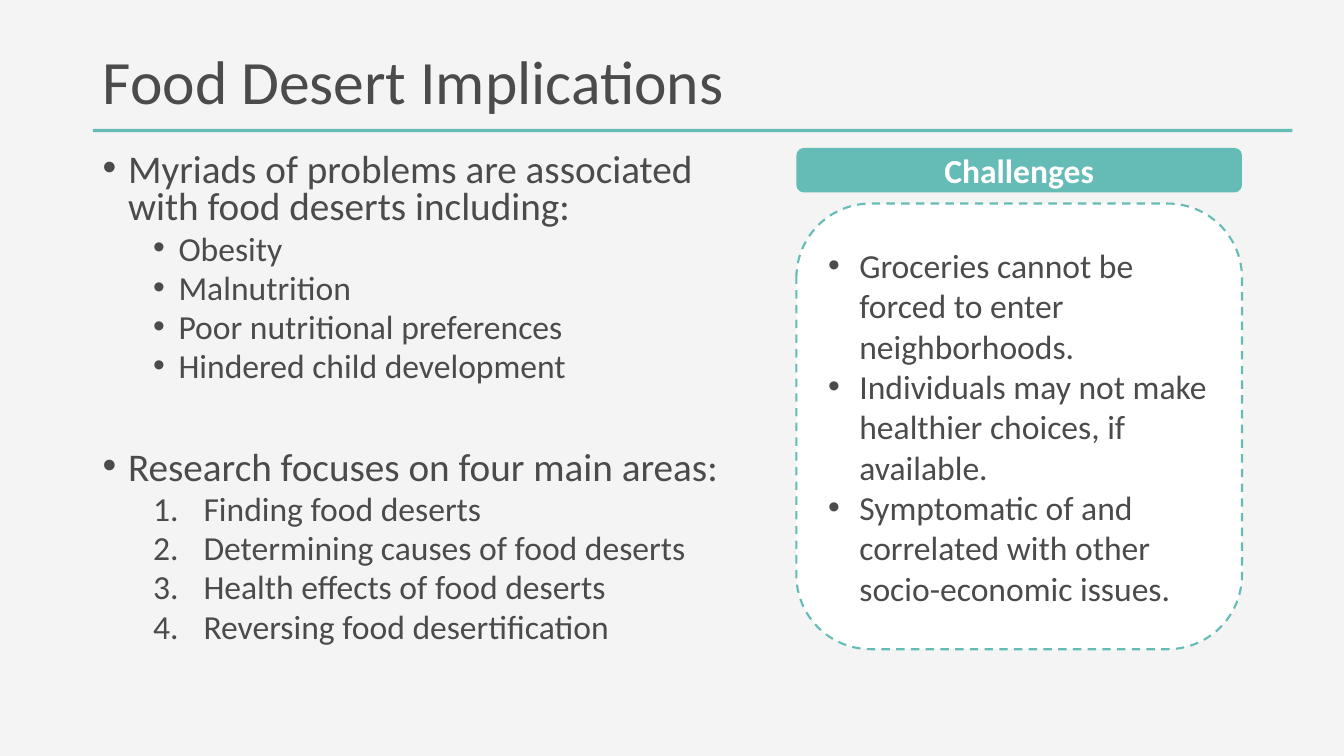
from dataclasses import dataclass

from lxml import etree
from pptx import Presentation
from pptx.dml.color import RGBColor
from pptx.enum.dml import MSO_LINE
from pptx.enum.shapes import MSO_SHAPE
from pptx.enum.text import MSO_ANCHOR, PP_ALIGN
from pptx.oxml.ns import qn
from pptx.util import Cm, Pt

ROUND = MSO_SHAPE.ROUNDED_RECTANGLE
DASH = MSO_LINE.DASH
TOP, MIDDLE = MSO_ANCHOR.TOP, MSO_ANCHOR.MIDDLE
LEFT, CENTER = PP_ALIGN.LEFT, PP_ALIGN.CENTER


@dataclass(frozen=True)
class Theme:
    font: str = "Calibri"
    back: RGBColor = RGBColor(0xF4, 0xF4, 0xF4)
    ink: RGBColor = RGBColor(0x4B, 0x4B, 0x4B)
    teal: RGBColor = RGBColor(0x65, 0xBB, 0xB5)
    white: RGBColor = RGBColor(0xFF, 0xFF, 0xFF)
    title: Pt = Pt(44)
    lead: Pt = Pt(28)
    item: Pt = Pt(24)


class Deck:
    def __init__(self, slide, theme):
        self.slide, self.theme = slide, theme
        fill = slide.background.fill
        fill.solid()
        fill.fore_color.rgb = theme.back

    def text(self, box, anchor=TOP):
        """Add an empty text box and return its frame."""
        frame = self.slide.shapes.add_textbox(*map(Cm, box)).text_frame
        frame.word_wrap, frame.vertical_anchor = True, anchor
        return frame

    def panel(self, box, fill, edge=None):
        """Add a rounded panel and return its text frame."""
        shape = self.slide.shapes.add_shape(ROUND, *map(Cm, box))
        shape.shadow.inherit = False
        shape.fill.solid()
        shape.fill.fore_color.rgb = fill
        if edge is None:
            shape.line.fill.background()
        else:
            shape.line.color.rgb = edge
            shape.line.width = Pt(1.5)
            shape.line.dash_style = DASH
        frame = shape.text_frame
        frame.word_wrap, frame.vertical_anchor = True, MIDDLE
        return frame

    def para(self, frame, words, size, color=None, bold=False, mark=None,
             indent=(0, 0), **form):
        """Write one paragraph, using the empty first one if it is free."""
        para = frame.paragraphs[0]
        if para.runs:
            para = frame.add_paragraph()
        for name, value in {"alignment": LEFT, **form}.items():
            setattr(para, name, value)
        run = para.add_run()
        run.text = words
        look = {"name": self.theme.font, "size": size, "bold": bold}
        for name, value in look.items():
            setattr(run.font, name, value)
        run.font.color.rgb = color or self.theme.ink
        if mark:
            self.bullet(para, mark, *indent)

    def bullet(self, para, mark, left, hang):
        """Set a hanging indent with a bullet or an automatic number."""
        props = para._p.get_or_add_pPr()
        props.set("marL", str(Cm(left)))
        props.set("indent", str(-Cm(hang)))
        if mark == "•":
            font = etree.SubElement(props, qn("a:buFont"))
            font.set("typeface", "Arial")
            etree.SubElement(props, qn("a:buChar")).set("char", mark)
        else:
            etree.SubElement(props, qn("a:buAutoNum")).set("type", mark)


def main():
    prs = Presentation()
    prs.slide_width, prs.slide_height = Cm(33.87), Cm(19.05)
    theme = Theme()
    deck = Deck(prs.slides.add_slide(prs.slide_layouts[6]), theme)

    # Title and rule
    left, top = 2.34, 3.73
    deck.panel((left, 3.25, 30.23, 0.08), theme.teal)
    title = deck.text((left, 1.02, 29.21, 2.24), MIDDLE)
    deck.para(title, "Food Desert Implications", theme.title, line_spacing=0.9)

    # Left column: lead lines, each with its own list
    body = deck.text((left, top, 16.18, 13.41))
    groups = [
        ("Myriads of problems are associated with food deserts including:",
         10, "•", (1.91, 0.64),
         ["Obesity", "Malnutrition", "Poor nutritional preferences",
          "Hindered child development"]),
        ("Research focuses on four main areas:",
         47, "arabicPeriod", (2.54, 1.27),
         ["Finding food deserts", "Determining causes of food deserts",
          "Health effects of food deserts", "Reversing food desertification"]),
    ]
    for lead, gap, mark, indent, items in groups:
        deck.para(body, lead, theme.lead, mark="•", indent=(0.64, 0.64),
                  line_spacing=0.8, space_before=Pt(gap))
        for item in items:
            deck.para(body, item, theme.item, mark=mark, indent=indent,
                      level=1, line_spacing=0.8, space_before=Pt(5))

    # Right column: header bar and dashed card
    side, width = 20.07, 11.23
    head = deck.panel((side, top, width, 1.12), theme.teal)
    deck.para(head, "Challenges", theme.item, theme.white, True,
              alignment=CENTER)
    card = deck.panel((side, 5.13, width, width), theme.white, theme.teal)
    for item in ["Groceries cannot be forced to enter neighborhoods.",
                 "Individuals may not make healthier choices, if available.",
                 "Symptomatic of and correlated with other "
                 "socio-economic issues."]:
        deck.para(card, item, theme.item, mark="•", indent=(0.79, 0.79))

    prs.save("out.pptx")


if __name__ == "__main__":
    main()
